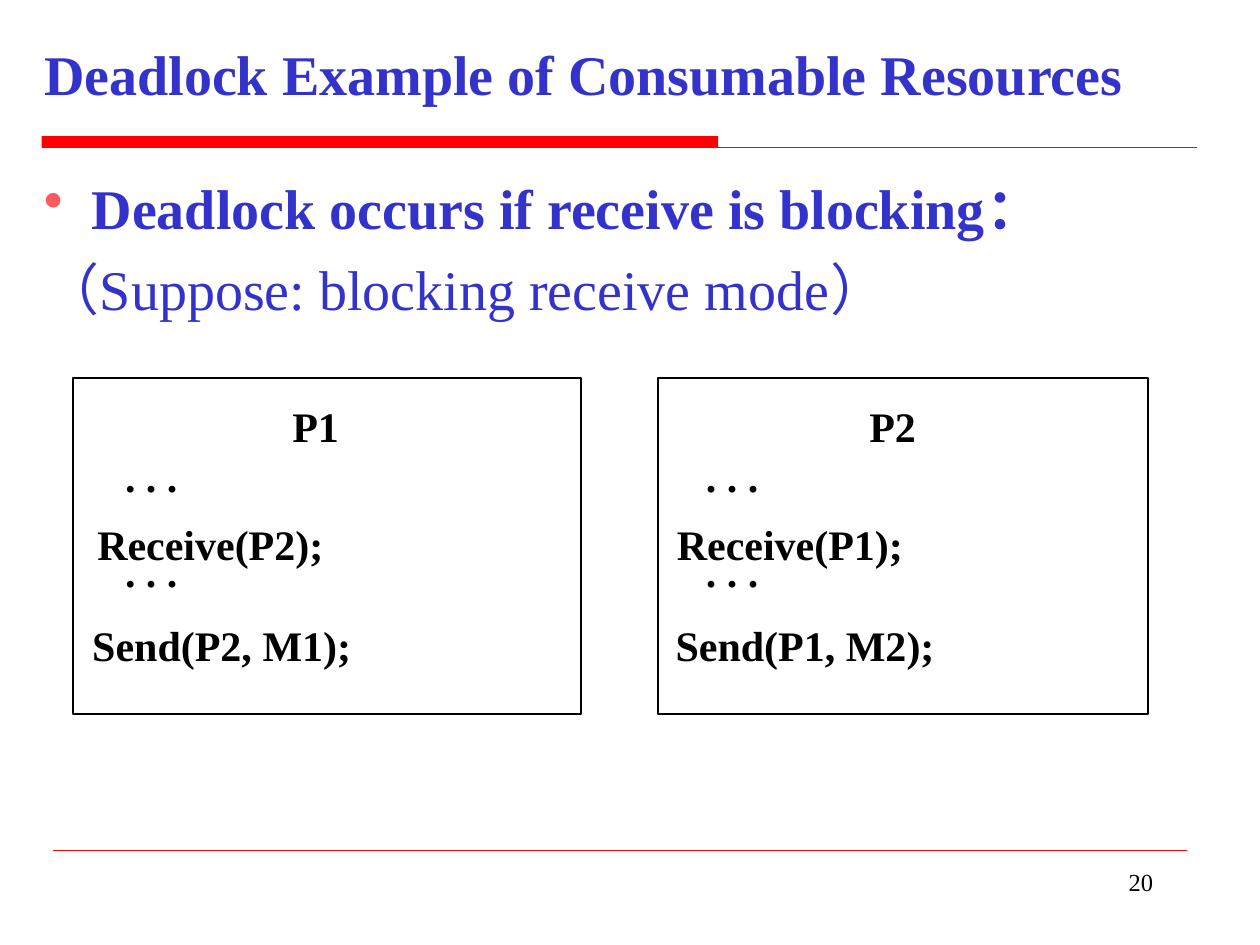
import pptx
import pptx.util
import pptx.dml.color
import pptx.enum.shapes
import pptx.enum.text
import pptx.oxml
import pptx.oxml.ns
from pptx.util import Inches

COLORS = {"heading": "3333CC", "rule": "FF0000", "bullet": "FB5B5B", "ink": "000000", "paper": "FFFFFF"}
ALIGN = pptx.enum.text.PP_ALIGN
SHAPE = pptx.enum.shapes.MSO_SHAPE


def color(name):
    return pptx.dml.color.RGBColor.from_string(COLORS[name])


def style(paragraph, size, name, bold):
    for span in paragraph.runs:
        span.font.name = "Times New Roman"
        span.font.size = pptx.util.Pt(size)
        span.font.bold = bold
        span.font.color.rgb = color(name)


deck = pptx.Presentation()
deck.slide_width = Inches(10)
deck.slide_height = Inches(7.5)
page = deck.slides.add_slide(deck.slide_layouts[5])

title = page.shapes.title
title.left, title.top, title.width, title.height = Inches(0.25), Inches(0.17), Inches(9.33), Inches(0.92)
title.text_frame.text = "Deadlock Example of Consumable Resources"
title.text_frame.vertical_anchor = pptx.enum.text.MSO_ANCHOR.MIDDLE
heading = title.text_frame.paragraphs[0]
heading.alignment = ALIGN.LEFT
heading.line_spacing = 0.8
style(heading, 32, "heading", True)

bar = page.shapes.add_shape(SHAPE.RECTANGLE, Inches(0.33), Inches(1.08), Inches(5.37), Inches(0.09))
bar.shadow.inherit = False
bar.fill.solid()
bar.fill.fore_color.rgb = color("rule")
bar.line.fill.background()

for left, right, top, weight in [(0.33, 9.5, 1.17, 0.75), (0.42, 9.42, 6.75, 0.25)]:
    rule = page.shapes.add_connector(
        pptx.enum.shapes.MSO_CONNECTOR.STRAIGHT, Inches(left), Inches(top), Inches(right), Inches(top))
    rule.line.color.rgb = color("rule")
    rule.line.width = pptx.util.Pt(weight)
    rule._element.spPr.append(pptx.oxml.parse_xml(f"<a:effectLst {pptx.oxml.ns.nsdecls('a')}/>"))

body = page.shapes.add_textbox(Inches(0.25), Inches(1.33), Inches(9.33), Inches(5.33))
body.text_frame.word_wrap = True
body.text_frame.text = "Deadlock occurs if receive is blocking：\n（Suppose: blocking receive mode）"
statement, assumption = body.text_frame.paragraphs
for paragraph in (statement, assumption):
    properties = paragraph._p.get_or_add_pPr()
    properties.set("marL", str(Inches(0.38)))
    properties.set("indent", str(Inches(-0.38)))
    style(paragraph, 32, "heading", paragraph is statement)
assumption.space_before = pptx.util.Pt(8)
namespace = pptx.oxml.ns.nsdecls("a")
for markup in (
    f'<a:buClr {namespace}><a:srgbClr val="{COLORS["bullet"]}"/></a:buClr>',
    f'<a:buChar {namespace} char="•"/>',
):
    statement._p.get_or_add_pPr().append(pptx.oxml.parse_xml(markup))

processes = [
    (0.58, 4.03, [("P1", 2.22, 3.13, 0.57), (". . .", 0.89, 3.53, 0.62), (". . .", 0.89, 4.28, 0.62),
                  ("Receive(P2);", 0.67, 4.07, 2), ("Send(P2, M1);", 0.63, 4.87, 2.26)]),
    (5.22, 3.89, [("P2", 6.8, 3.13, 0.57), (". . .", 5.5, 3.53, 0.62), (". . .", 5.5, 4.28, 0.62),
                  ("Receive(P1);", 5.27, 4.07, 2), ("Send(P1, M2);", 5.26, 4.87, 2.26)]),
]
for frame_left, frame_width, steps in processes:
    process = page.shapes.add_group_shape()
    frame = process.shapes.add_shape(
        SHAPE.RECTANGLE, Inches(frame_left), Inches(3), Inches(frame_width), Inches(2.67))
    frame.shadow.inherit = False
    frame.fill.solid()
    frame.fill.fore_color.rgb = color("paper")
    frame.line.color.rgb = color("ink")
    frame.line.width = pptx.util.Pt(1)
    for text, left, top, width in steps:
        box = process.shapes.add_textbox(Inches(left), Inches(top), Inches(width), Inches(0.5))
        box.text_frame.text = text
        box.text_frame.word_wrap = False
        box.text_frame.auto_size = pptx.enum.text.MSO_AUTO_SIZE.SHAPE_TO_FIT_TEXT
        step = box.text_frame.paragraphs[0]
        step.alignment = ALIGN.CENTER
        style(step, 24, "ink", True)

number = page.shapes.add_textbox(Inches(7.17), Inches(6.83), Inches(2.08), Inches(0.5))
number.text_frame.word_wrap = True
number.text_frame.text = "20"
number.text_frame.paragraphs[0].alignment = ALIGN.RIGHT
style(number.text_frame.paragraphs[0], 14, "ink", False)

deck.save("out.pptx")
